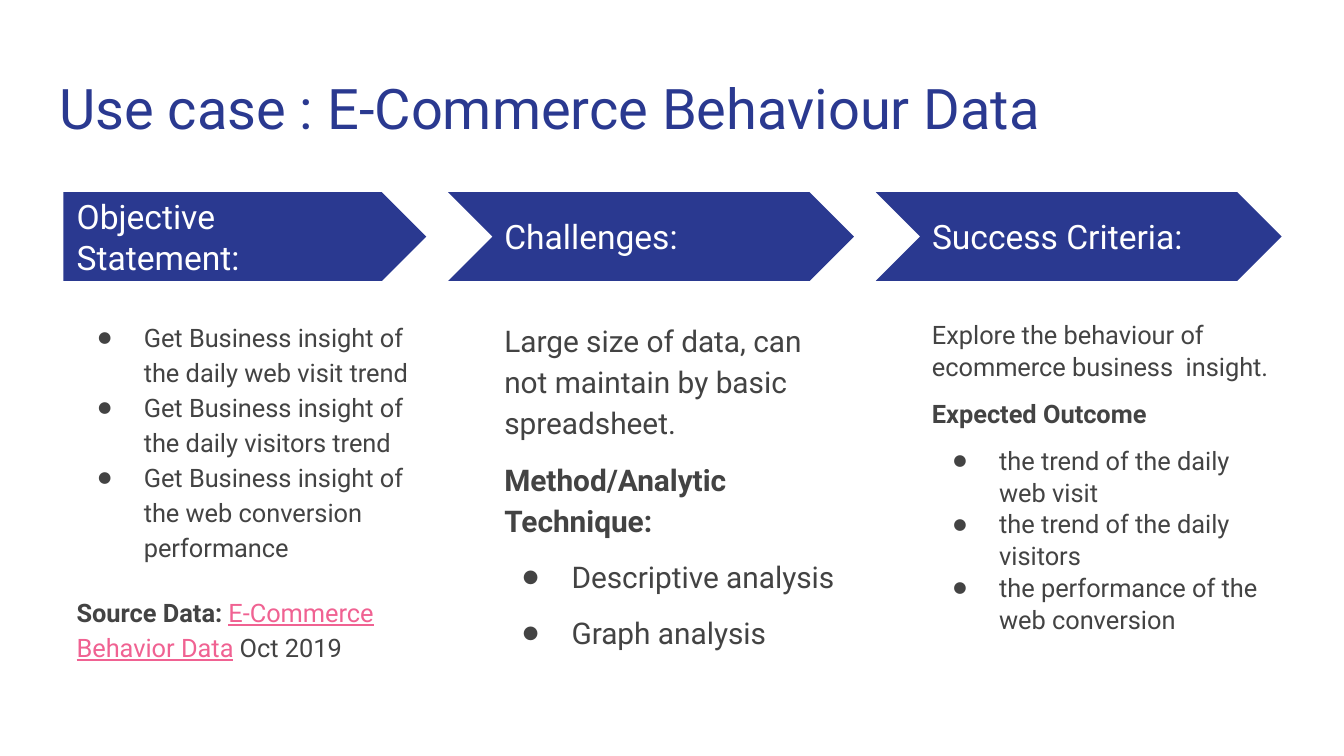
from pptx import Presentation
from pptx.dml.color import RGBColor
from pptx.enum.shapes import MSO_SHAPE as Shape
from pptx.enum.text import MSO_ANCHOR as Anchor, MSO_AUTO_SIZE as AutoSize, PP_ALIGN as Align
from pptx.oxml import parse_xml
from pptx.oxml.ns import nsdecls
from pptx.util import Pt

NAVY = RGBColor(0x2A, 0x39, 0x90)
GREY = RGBColor(0x43, 0x43, 0x43)
PINK = RGBColor(0xF0, 0x62, 0x92)
WHITE = RGBColor(0xFF, 0xFF, 0xFF)
FONT = "Roboto"

TITLE = "Use case : E-Commerce Behaviour Data"
BOLD = {"bold": True}
LINK = {"color": PINK, "underline": True}

COLUMNS = [
    {"heading": "Objective Statement:", "size": 13.6, "spacing": 1.15, "hang": 24.5, "paras": [
        {"runs": [("Get Business insight of the daily web visit trend", {})], "bullet": True},
        {"runs": [("Get Business insight of the daily visitors trend", {})], "bullet": True},
        {"runs": [("Get Business insight of the web conversion performance", {})], "bullet": True},
        {"runs": [("Source Data: ", BOLD), ("E-Commerce Behavior Data", LINK), (" Oct 2019", {})],
         "before": 16, "after": 8},
    ]},
    {"heading": "Challenges:", "size": 16, "spacing": 1.15, "hang": 26, "paras": [
        {"runs": [("Large size of data, can not maintain by basic spreadsheet.", {})]},
        {"runs": [("Method/Analytic Technique: ", BOLD)], "before": 8},
        {"runs": [("Descriptive analysis", {})], "before": 8, "bullet": True},
        {"runs": [("Graph analysis", {})], "before": 8, "after": 8, "bullet": True},
    ]},
    {"heading": "Success Criteria: ", "size": 13.6, "spacing": 1.05, "hang": 24.5, "paras": [
        {"runs": [("Explore the behaviour of ecommerce business  insight.", {})]},
        {"runs": [("Expected Outcome", BOLD)], "before": 8},
        {"runs": [("the trend of the daily web visit", {})], "before": 8, "bullet": True},
        {"runs": [("the trend of the daily visitors", {})], "bullet": True},
        {"runs": [("the performance of the web conversion", {})], "bullet": True},
    ]},
]

LEFT, PITCH, WIDTH = 34, 229.1, 194.4
ARROW_TOP, ARROW_HEIGHT, NOTCH = 103, 47.5, 23
HEADING_TOP, HEADING_WIDTH, HEADING_HEIGHT = 114.5, 178, 24.5
BODY_TOP, BODY_HEIGHT = 162.9, 208.8


def add_bullet(para, hang):
    props = para._p.get_or_add_pPr()
    props.set("marL", str(Pt(36)))
    props.set("indent", str(-Pt(hang)))
    for xml in (f'<a:buClr {nsdecls("a")}><a:srgbClr val="{GREY}"/></a:buClr>',
                f'<a:buSzPct {nsdecls("a")} val="60000"/>',
                f'<a:buFont {nsdecls("a")} typeface="{FONT}"/>',
                f'<a:buChar {nsdecls("a")} char="●"/>'):
        props.append(parse_xml(xml))


def write(box, paras, size, color=GREY, spacing=1.0, hang=0, anchor=Anchor.TOP):
    frame = box.text_frame
    frame.word_wrap = True
    frame.auto_size = AutoSize.NONE
    frame.vertical_anchor = anchor
    frame.margin_left = frame.margin_right = frame.margin_top = frame.margin_bottom = Pt(7.2)
    for index, item in enumerate(paras):
        para = frame.add_paragraph() if index else frame.paragraphs[0]
        para.alignment = Align.LEFT
        para.line_spacing = spacing
        para.space_before = Pt(item.get("before", 0))
        para.space_after = Pt(item.get("after", 0))
        if item.get("bullet"):
            add_bullet(para, hang)
        for text, style in item["runs"]:
            span = para.add_run()
            span.text = text
            font = span.font
            font.name, font.size = FONT, Pt(size)
            font.bold = style.get("bold", False)
            font.underline = style.get("underline", False)
            font.color.rgb = style.get("color", color)


deck = Presentation()
deck.slide_width, deck.slide_height = Pt(720), Pt(405)
page = deck.slides.add_slide(deck.slide_layouts[5])

title = page.shapes.title
title.left, title.top, title.width, title.height = Pt(24.5), Pt(32.4), Pt(671), Pt(47.5)
write(title, [{"runs": [(TITLE, {})]}], 30, color=NAVY)

for index, column in enumerate(COLUMNS):
    left = LEFT + index * PITCH
    notch = NOTCH if index else 0
    kind = Shape.CHEVRON if index else Shape.PENTAGON
    arrow = page.shapes.add_shape(kind, Pt(left - notch), Pt(ARROW_TOP),
                                  Pt(WIDTH + notch), Pt(ARROW_HEIGHT))
    arrow.adjustments[0] = 0.5
    arrow.shadow.inherit = False
    arrow.fill.solid()
    arrow.fill.fore_color.rgb = NAVY
    arrow.line.fill.background()

    heading = page.shapes.add_textbox(Pt(left), Pt(HEADING_TOP),
                                      Pt(HEADING_WIDTH), Pt(HEADING_HEIGHT))
    write(heading, [{"runs": [(column["heading"], {})]}], 18, color=WHITE, anchor=Anchor.MIDDLE)

    body = page.shapes.add_textbox(Pt(left), Pt(BODY_TOP), Pt(WIDTH), Pt(BODY_HEIGHT))
    write(body, column["paras"], column["size"], spacing=column["spacing"], hang=column["hang"])

deck.save("out.pptx")
